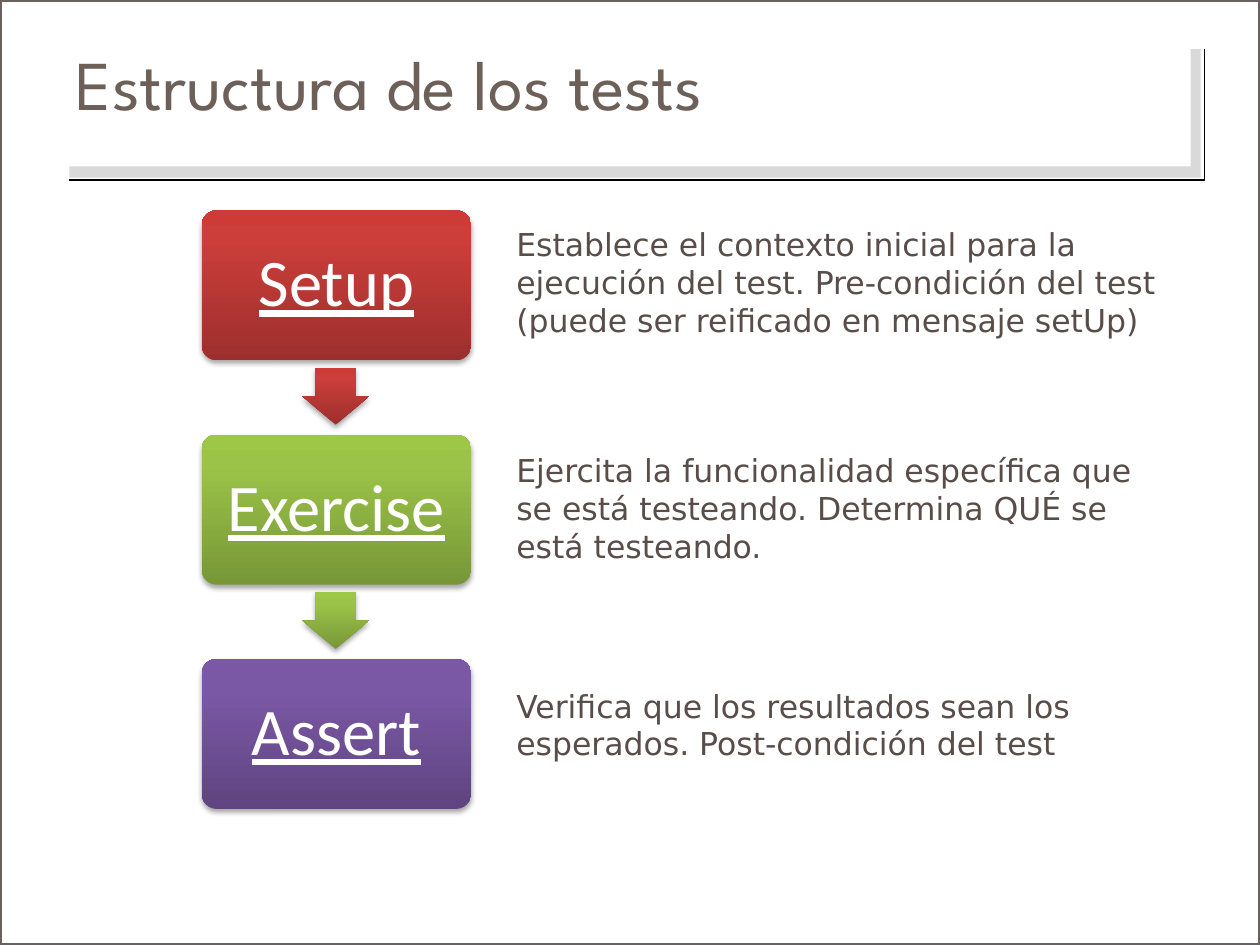
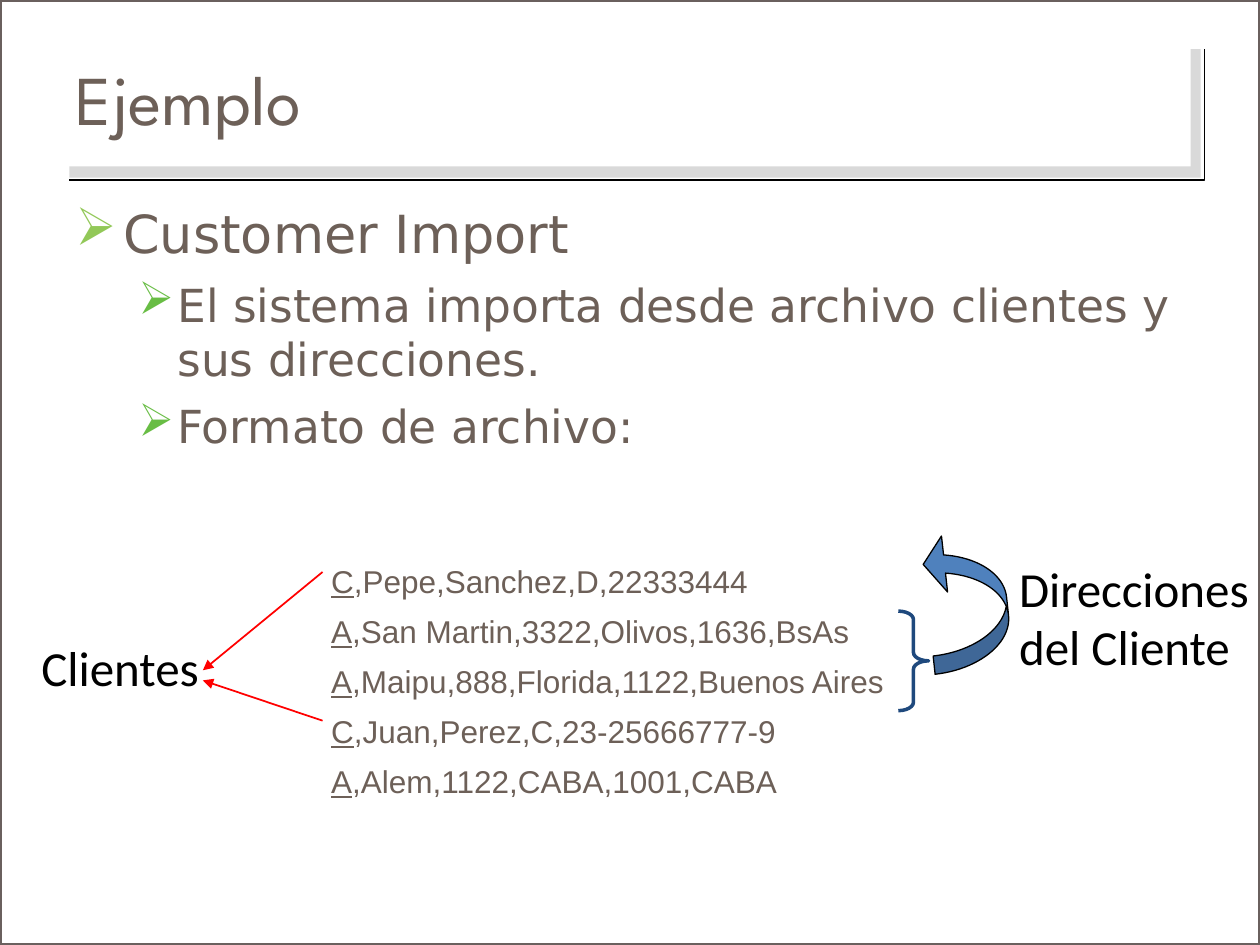
import copy

import pptx
import pptx.dml.color
import pptx.enum.shapes
import pptx.enum.text
import pptx.oxml
import pptx.oxml.ns
import pptx.util

Inches, Pt = pptx.util.Inches, pptx.util.Pt
RGB = pptx.dml.color.RGBColor.from_string
SHAPE = pptx.enum.shapes.MSO_SHAPE
ANCHOR, ALIGN = pptx.enum.text.MSO_ANCHOR, pptx.enum.text.PP_ALIGN
qn = pptx.oxml.ns.qn
NS = 'xmlns:a="http://schemas.openxmlformats.org/drawingml/2006/main"'

COLORS = {
    "white": "FFFFFF", "black": "000000", "band": "D9D9D9", "border": "6A605E",
    "text": "6D6058", "detail": "584D49", "bullet": "92C858", "sub_bullet": "68BD44",
    "pointer": "FF0000", "brace": "1F497D", "arrow": "4F81BD",
}
# Font formats: name, size, colour
TITLE = {"name": "League Spartan", "size": Pt(40), "color": "text"}
BUTTON = {"name": "Calibri", "size": Pt(38), "color": "white", "underline": True}
DETAIL = {"name": "DejaVu Sans", "size": Pt(18), "color": "detail"}
BODY = {"name": "DejaVu Sans", "size": Pt(30), "color": "text"}
RECORD = {"name": "Arial", "size": Pt(18), "color": "text"}
LABEL = {"name": "Calibri", "size": Pt(28), "color": "black"}


def add_text(tf, paragraphs, **fmt):
    """Fill a text frame, one paragraph per string, and format its runs."""
    for i, text in enumerate(paragraphs):
        p = tf.paragraphs[0] if i == 0 else tf.add_paragraph()
        p.text = text
        for r in p.runs:
            for key, value in fmt.items():
                if key == "color":
                    r.font.color.rgb = RGB(COLORS[value])
                else:
                    setattr(r.font, key, value)
    return tf


def add_shape(s, kind, box, fill=None, line=None, width=1, adjust=()):
    """Add a preset shape with plain fill and line and no theme shadow."""
    sp = s.shapes.add_shape(kind, *map(Inches, box))
    sp.shadow.inherit = False
    for i, value in enumerate(adjust):
        sp.adjustments[i] = value
    if fill:
        sp.fill.solid()
        sp.fill.fore_color.rgb = RGB(COLORS[fill])
    else:
        sp.fill.background()
    if line:
        sp.line.color.rgb = RGB(COLORS[line])
        sp.line.width = Pt(width)
    else:
        sp.line.fill.background()
    return sp


prs = pptx.Presentation()
prs.slide_width, prs.slide_height = Inches(10), Inches(7.5)

# Shared frame and title on both slides
slides = []
for title, top, height in [("Estructura de los tests", 0.42, 0.47), ("Ejemplo", 0.3, 0.95)]:
    s = prs.slides.add_slide(prs.slide_layouts[6])
    slides.append(s)
    add_shape(s, SHAPE.RECTANGLE, (0.55, 0.39, 8.98, 1.02), "band")
    add_shape(s, SHAPE.RECTANGLE, (0.39, 0.23, 9.06, 1.09), "white")
    path = s.shapes.build_freeform(Inches(0.55), Inches(1.43))
    path.add_line_segments([(Inches(9.56), Inches(1.43)), (Inches(9.56), Inches(0.39))], close=False)
    corner = path.convert_to_shape()
    corner.shadow.inherit = False
    corner.fill.background()
    corner.line.color.rgb = RGB(COLORS["black"])
    corner.line.width = Pt(1)
    add_shape(s, SHAPE.RECTANGLE, (0, 0, 10, 7.5), line="border", width=2)
    tf = s.shapes.add_textbox(Inches(0.5), Inches(top), Inches(8.92), Inches(height)).text_frame
    tf.word_wrap = True
    tf.vertical_anchor = ANCHOR.MIDDLE
    add_text(tf, [title], **TITLE)

# Slide 1: three test phases, each with a description
s = slides[0]
phases = [
    ("Setup", ("9C2F2D", "CB3E3A", "CE3B37"), 1.74,
     ["Establece el contexto inicial para la ejecución del test. Pre-condición del test",
      "(puede ser reificado en mensaje setUp)"]),
    ("Exercise", ("779737", "9BC348", "9DC746"), 3.53,
     ["Ejercita la funcionalidad específica que se está testeando. "
      "Determina QUÉ se está testeando."]),
    ("Assert", ("5F4480", "7B58A6", "7C57A8"), 5.4,
     ["Verifica que los resultados sean los esperados. Post-condición del test"]),
]
for i, (phase, gradient, detail_top, details) in enumerate(phases):
    top = 1.67 + 1.78 * i
    button = add_shape(s, SHAPE.ROUNDED_RECTANGLE, (1.6, top, 2.14, 1.19), adjust=[0.1])
    parts = [button]
    if i < len(phases) - 1:
        parts.append(add_shape(s, SHAPE.DOWN_ARROW, (2.4, top + 1.25, 0.53, 0.45), adjust=[0.6, 0.5]))
    for sp in parts:
        # Three-stop gradient, dark at the bottom, and a soft shadow
        sp.fill.gradient()
        sp.fill.gradient_angle = 90
        stops = sp._element.spPr.find(".//" + qn("a:gsLst"))
        stops.append(copy.deepcopy(stops[0]))
        for stop, position, color in zip(sp.fill.gradient_stops, (0, 0.8, 1), gradient):
            stop.position = position
            stop.color.rgb = RGB(color)
        sp._element.spPr.find(qn("a:effectLst")).append(pptx.oxml.parse_xml(
            f'<a:outerShdw {NS} blurRad="{Pt(3.1)}" dist="{Pt(1.8)}" dir="5400000" rotWithShape="0">'
            '<a:srgbClr val="000000"><a:alpha val="35000"/></a:srgbClr></a:outerShdw>'))
    tf = button.text_frame
    tf.margin_left = tf.margin_right = tf.margin_top = tf.margin_bottom = Inches(0.16)
    tf.vertical_anchor = ANCHOR.MIDDLE
    add_text(tf, [phase], **BUTTON)
    tf.paragraphs[0].alignment = ALIGN.CENTER
    tf.paragraphs[0].line_spacing = 0.9
    tf = s.shapes.add_textbox(Inches(4), Inches(detail_top), Inches(5.44), Inches(1.01)).text_frame
    tf.word_wrap = True
    add_text(tf, details, **DETAIL)

# Slide 2: bulleted introduction
s = slides[1]
tf = s.shapes.add_textbox(Inches(0.5), Inches(1.55), Inches(9), Inches(2.28)).text_frame
tf.word_wrap = True
add_text(tf, ["Customer Import", "El sistema importa desde archivo clientes y sus direcciones.",
              "Formato de archivo:"], **BODY)
for i, p in enumerate(tf.paragraphs):
    p.level = min(i, 1)
    left, hanging, space, size, bullet = [
        (0.38, 0.38, 8, 30, "bullet"), (0.81, 0.31, 7, 26, "sub_bullet")][p.level]
    p.space_before = Pt(space)
    p.runs[0].font.size = Pt(size)
    pPr = p._p.get_or_add_pPr()
    pPr.set("marL", str(Inches(left)))
    pPr.set("indent", str(-Inches(hanging)))
    for xml in (f'<a:buClr {NS}><a:srgbClr val="{COLORS[bullet]}"/></a:buClr>',
                f'<a:buChar {NS} char="➢"/>'):
        pPr.append(pptx.oxml.parse_xml(xml))

# File records, with the record type underlined
tf = s.shapes.add_textbox(Inches(2.53), Inches(4.41), Inches(6.17), Inches(2.18)).text_frame
tf.word_wrap = True
records = ["C,Pepe,Sanchez,D,22333444", "A,San Martin,3322,Olivos,1636,BsAs",
           "A,Maipu,888,Florida,1122,Buenos Aires", "C,Juan,Perez,C,23-25666777-9",
           "A,Alem,1122,CABA,1001,CABA"]
add_text(tf, [record[0] for record in records], underline=True, **RECORD)
for p, record in zip(tf.paragraphs, records):
    p.space_before = Pt(7)
    r = p.add_run()
    r.text = record[1:]
    r.font.name, r.font.size = RECORD["name"], RECORD["size"]
    r.font.color.rgb = RGB(COLORS[RECORD["color"]])

# Pointers from the customer records to their label
for start, end in [(5.72, 5.4), (4.54, 5.32)]:
    line = s.shapes.add_connector(pptx.enum.shapes.MSO_CONNECTOR.STRAIGHT,
                                  Inches(2.56), Inches(start), Inches(1.61), Inches(end))
    line.line.color.rgb = RGB(COLORS["pointer"])
    line.line.width = Pt(1)
    line.line._get_or_add_ln().append(pptx.oxml.parse_xml(f'<a:tailEnd {NS} type="triangle"/>'))
    line._element.spPr.append(pptx.oxml.parse_xml(f"<a:effectLst {NS}/>"))

# Brace around the addresses and curved arrow back to their customer
add_shape(s, SHAPE.RIGHT_BRACE, (7.13, 4.85, 0.24, 0.79), line="brace", width=2, adjust=[0.278, 0.5])
arrow = add_shape(s, SHAPE.CURVED_RIGHT_ARROW, (7.36, 4.22, 0.63, 1.1), "arrow", "black", 0.75,
                  [0.231, 0.71, 0.268])
arrow.rotation = 173.8

# Labels
for text, box in [("Clientes", (0.23, 5.01, 1.46, 0.57)),
                  ("Direcciones\vdel Cliente", (7.99, 4.38, 2.03, 1.03))]:
    tf = s.shapes.add_textbox(*map(Inches, box)).text_frame
    tf.word_wrap = False
    add_text(tf, [text], **LABEL)

prs.save("out.pptx")
